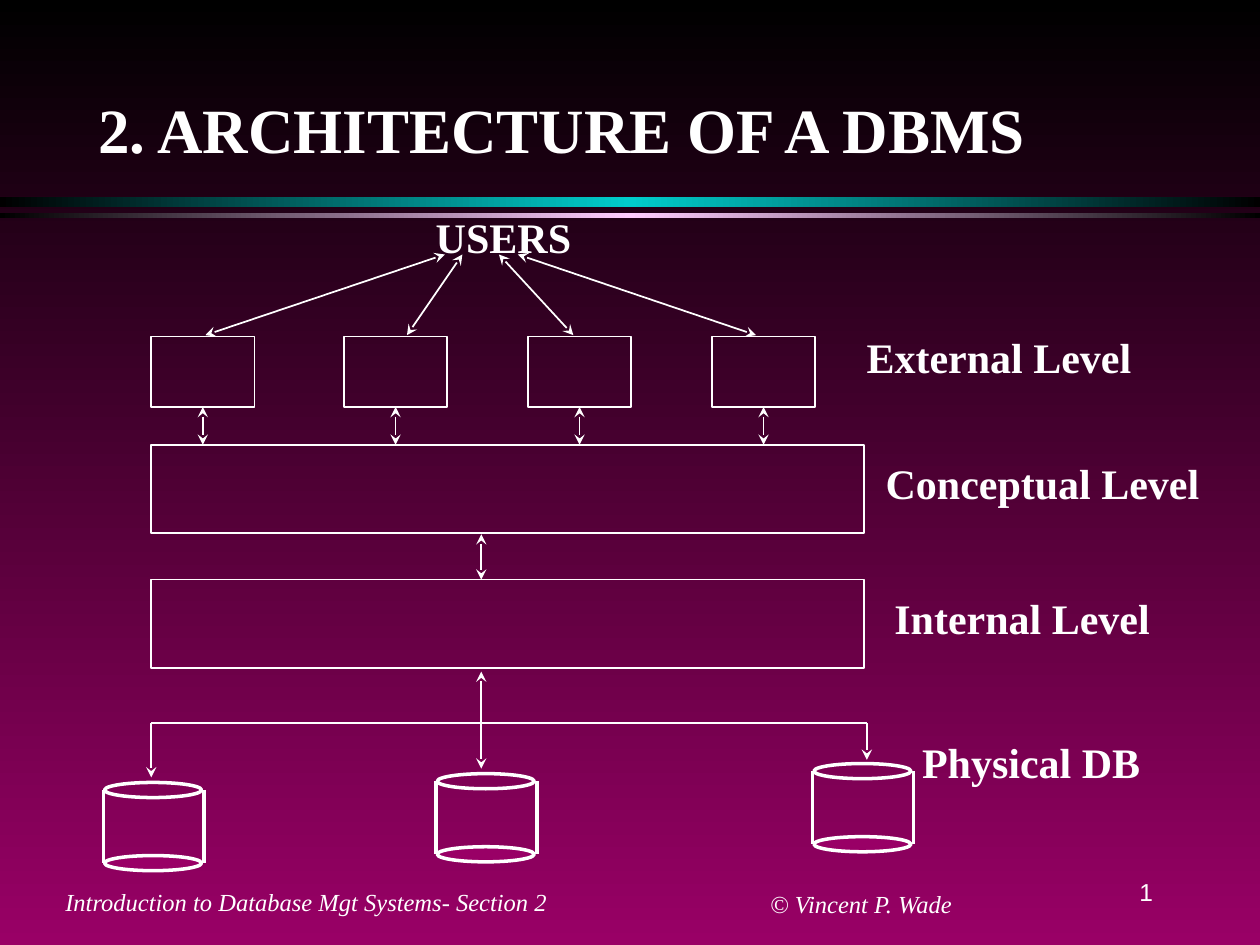
"""Builds a slide showing the layered architecture of a DBMS."""
from copy import deepcopy
from dataclasses import dataclass

from lxml.etree import SubElement
from pptx import Presentation
from pptx.dml.color import RGBColor as RGB
from pptx.dml.fill import FillFormat
from pptx.enum.shapes import MSO_CONNECTOR as Conn, MSO_SHAPE as Shape
from pptx.enum.text import MSO_ANCHOR as Anchor, MSO_AUTO_SIZE as AutoSize, PP_ALIGN as Align
from pptx.oxml.ns import qn
from pptx.shapes.autoshape import Shape as AutoShape
from pptx.shapes.connector import Connector
from pptx.slide import Slide
from pptx.util import Inches, Pt


@dataclass(frozen=True)
class Theme:
    ink: str = "FFFFFF"
    black: str = "000000"
    magenta: str = "990066"
    teal: str = "00CCCC"
    pink: str = "FFCCFF"
    serif: str = "Times New Roman"
    sans: str = "Arial"
    title: int = 36
    label: int = 24
    footer: int = 14
    thin: int = 1
    thick: int = 2


@dataclass(frozen=True)
class Label:
    text: str
    left: float
    top: float
    width: float
    height: float = 0.5
    size: int = Theme.label
    font: str = Theme.serif
    bold: bool = True
    italic: bool = False
    align: Align = Align.LEFT
    anchor: Anchor = Anchor.TOP
    wrap: bool = False


@dataclass(frozen=True)
class Arrow:
    x1: float
    y1: float
    x2: float
    y2: float
    head: bool = True
    tail: bool = True


@dataclass(frozen=True)
class Cylinder:
    left: float
    top: float


THEME = Theme()
BOX_TOP, BOX_W, BOX_H = 2.67, 0.82, 0.56
BOX_LEFTS = (1.2, 2.73, 4.19, 5.65)
LEVEL_LEFT, LEVEL_W, LEVEL_H = 1.2, 5.66, 0.7
LEVEL_TOPS = (3.53, 4.6)
BUS_Y, TRUNK_X = 5.74, 3.82

RULES = ((1.56, 0.08, THEME.teal), (1.69, 0.04, THEME.pink))
LABELS = (
    Label("2. ARCHITECTURE OF A DBMS", 0.68, 0.67, 7.66, 0.7, THEME.title),
    Label("USERS", 3.36, 1.63, 1.28),
    Label("External Level", 6.78, 2.58, 2.3),
    Label("Conceptual Level", 6.93, 3.58, 2.69),
    Label("Internal Level", 7, 4.65, 2.23),
    Label("Physical DB", 7.22, 5.8, 1.93),
)
FOOTERS = (
    Label("Introduction to Database Mgt Systems- Section 2", 0.42, 6.91, 2.08,
          size=THEME.footer, bold=False, italic=True, anchor=Anchor.MIDDLE),
    Label("© Vincent P. Wade", 5.25, 6.92, 3.17, size=THEME.footer, bold=False,
          italic=True, align=Align.CENTER, anchor=Anchor.MIDDLE),
    Label("1", 7.17, 6.83, 2.08, size=THEME.footer, font=THEME.sans, bold=False,
          align=Align.RIGHT, anchor=Anchor.MIDDLE, wrap=True),
)
ARROWS = (
    Arrow(1.63, 2.66, 3.53, 2.02),
    Arrow(3.23, 2.66, 3.67, 2.02),
    Arrow(3.96, 2.02, 4.55, 2.66),
    Arrow(4.11, 2.02, 6, 2.66),
    Arrow(TRUNK_X, 4.24, TRUNK_X, 4.6),
    Arrow(TRUNK_X, 5.33, TRUNK_X, BUS_Y, tail=False),
    Arrow(1.2, BUS_Y, 6.88, BUS_Y, head=False, tail=False),
    Arrow(1.2, BUS_Y, 1.2, 6.17, head=False),
    Arrow(TRUNK_X, BUS_Y, TRUNK_X, 6.1, head=False),
    Arrow(6.88, BUS_Y, 6.88, 6.03, head=False),
)
CYLINDERS = (Cylinder(0.82, 6.21), Cylinder(3.46, 6.14), Cylinder(6.45, 6.06))


def set_gradient(fill: FillFormat, angle: int, colors: tuple[str, ...]) -> None:
    """Colour the evenly spaced stops of a gradient fill."""
    fill.gradient_angle = angle
    for i, (stop, color) in enumerate(zip(fill.gradient_stops, colors)):
        stop.position = i / (len(colors) - 1)
        stop.color.rgb = RGB.from_string(color)


def add_rule(s: Slide, top: float, height: float, color: str) -> None:
    """Draw a full-width bar that glows in the middle."""
    sp = s.shapes.add_shape(Shape.RECTANGLE, 0, Inches(top), Inches(10), Inches(height))
    sp.shadow.inherit = False
    sp.line.fill.background()
    sp.fill.gradient()
    stops = sp._element.spPr.find(f".//{qn('a:gsLst')}")
    stops.append(deepcopy(stops[0]))
    set_gradient(sp.fill, 0, (THEME.black, color, THEME.black))


def add_outline(s: Slide, kind: Shape, left: float, top: float, width: float, height: float,
                weight: int = THEME.thin, fill: str | None = None) -> AutoShape:
    """Draw an outlined shape, hollow unless a fill is given."""
    sp = s.shapes.add_shape(kind, Inches(left), Inches(top), Inches(width), Inches(height))
    sp.shadow.inherit = False
    if fill:
        sp.fill.solid()
        sp.fill.fore_color.rgb = RGB.from_string(fill)
    else:
        sp.fill.background()
    sp.line.color.rgb = RGB.from_string(THEME.ink)
    sp.line.width = Pt(weight)
    return sp


def add_arrow(s: Slide, arrow: Arrow, weight: int = THEME.thin) -> Connector:
    """Draw a straight line with the arrowheads it asks for."""
    ends = (Inches(v) for v in (arrow.x1, arrow.y1, arrow.x2, arrow.y2))
    cxn = s.shapes.add_connector(Conn.STRAIGHT, *ends)
    cxn.line.color.rgb = RGB.from_string(THEME.ink)
    cxn.line.width = Pt(weight)
    ln = cxn.line._get_or_add_ln()
    for tag, wanted in (("a:headEnd", arrow.head), ("a:tailEnd", arrow.tail)):
        if wanted:
            SubElement(ln, qn(tag), type="stealth")
    SubElement(cxn._element.spPr, qn("a:effectLst"))
    return cxn


def add_cylinder(s: Slide, cyl: Cylinder) -> None:
    """Draw a database drum from two ellipses and two sides."""
    for dy, fill in ((0, None), (0.58, THEME.magenta)):
        add_outline(s, Shape.OVAL, cyl.left + 0.01, cyl.top + dy, 0.77, 0.12, THEME.thick, fill)
    for x in (cyl.left, cyl.left + 0.8):
        add_arrow(s, Arrow(x, cyl.top + 0.06, x, cyl.top + 0.64, False, False), THEME.thick)


def add_label(s: Slide, label: Label) -> None:
    """Place a single line of text."""
    sp = s.shapes.add_textbox(Inches(label.left), Inches(label.top),
                              Inches(label.width), Inches(label.height))
    tf = sp.text_frame
    tf.word_wrap = label.wrap
    tf.vertical_anchor = label.anchor
    tf.auto_size = AutoSize.SHAPE_TO_FIT_TEXT if label.anchor == Anchor.TOP else AutoSize.NONE
    p = tf.paragraphs[0]
    p.text = label.text
    p.alignment = label.align
    p.font.name, p.font.size = label.font, Pt(label.size)
    p.font.bold, p.font.italic = label.bold, label.italic
    p.font.color.rgb = RGB.from_string(THEME.ink)


def main() -> None:
    """Build and save the slide."""
    prs = Presentation()
    prs.slide_width, prs.slide_height = Inches(10), Inches(7.5)
    s = prs.slides.add_slide(prs.slide_layouts[6])
    s.background.fill.gradient()
    set_gradient(s.background.fill, 270, (THEME.black, THEME.magenta))
    for rule in RULES:
        add_rule(s, *rule)
    for top in LEVEL_TOPS:
        add_outline(s, Shape.RECTANGLE, LEVEL_LEFT, top, LEVEL_W, LEVEL_H)
    for left in BOX_LEFTS:
        box = add_outline(s, Shape.RECTANGLE, left, BOX_TOP, BOX_W, BOX_H)
        x = left + BOX_W / 2
        add_arrow(s, Arrow(x, BOX_TOP + BOX_H, x, LEVEL_TOPS[0])).begin_connect(box, 2)
    for arrow in ARROWS:
        add_arrow(s, arrow)
    for cyl in CYLINDERS:
        add_cylinder(s, cyl)
    for label in LABELS + FOOTERS:
        add_label(s, label)
    prs.save("out.pptx")


if __name__ == "__main__":
    main()
